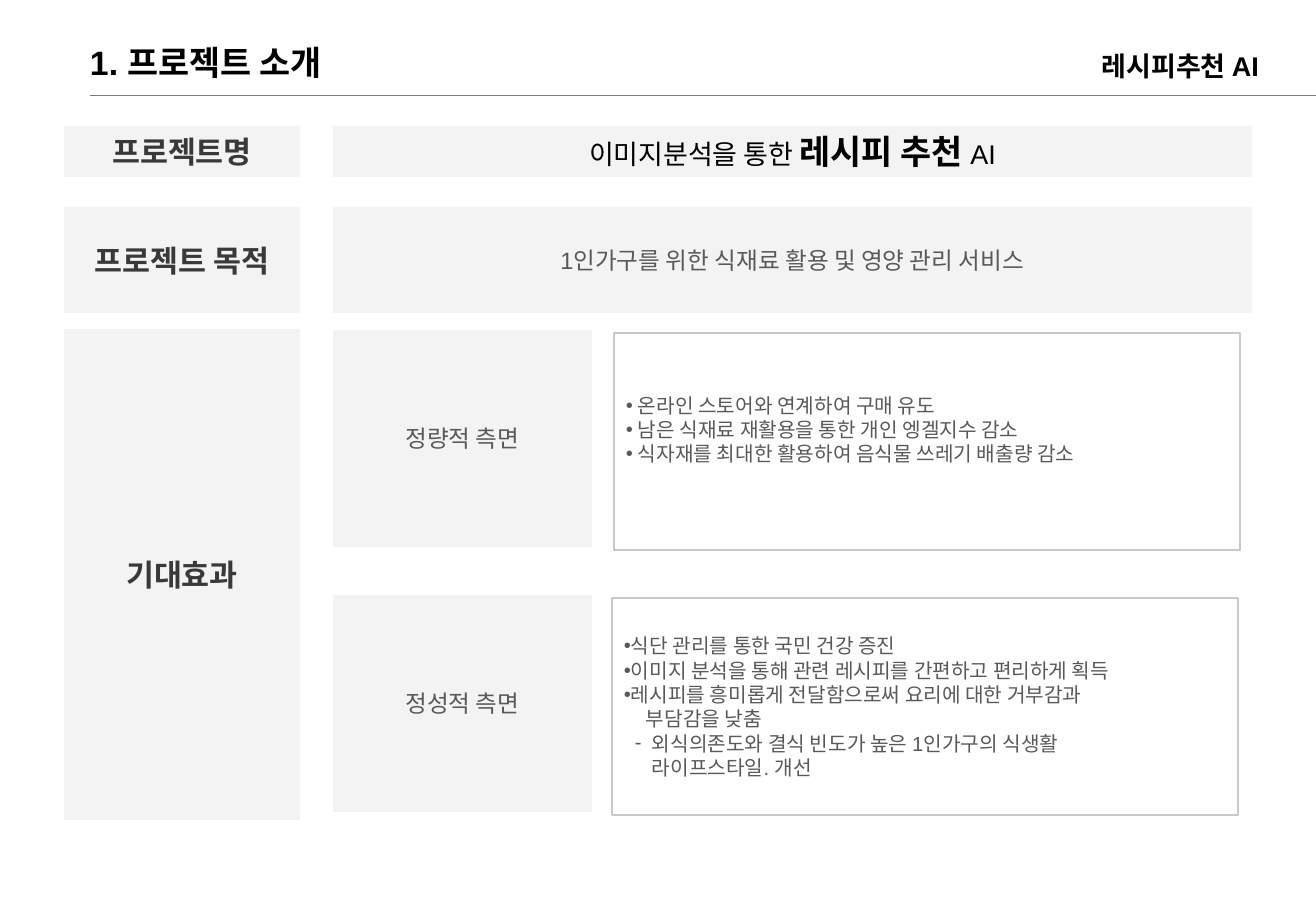
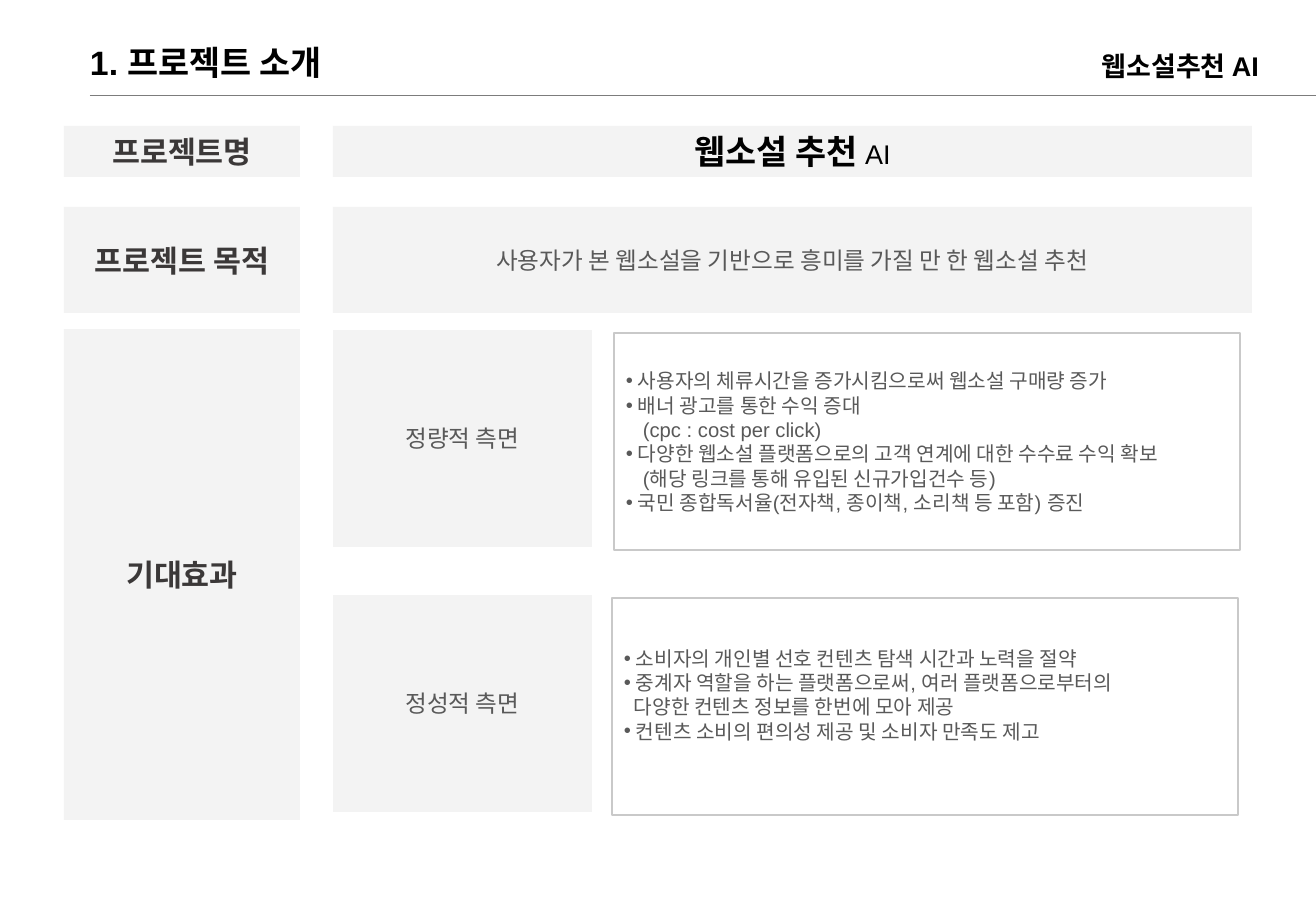
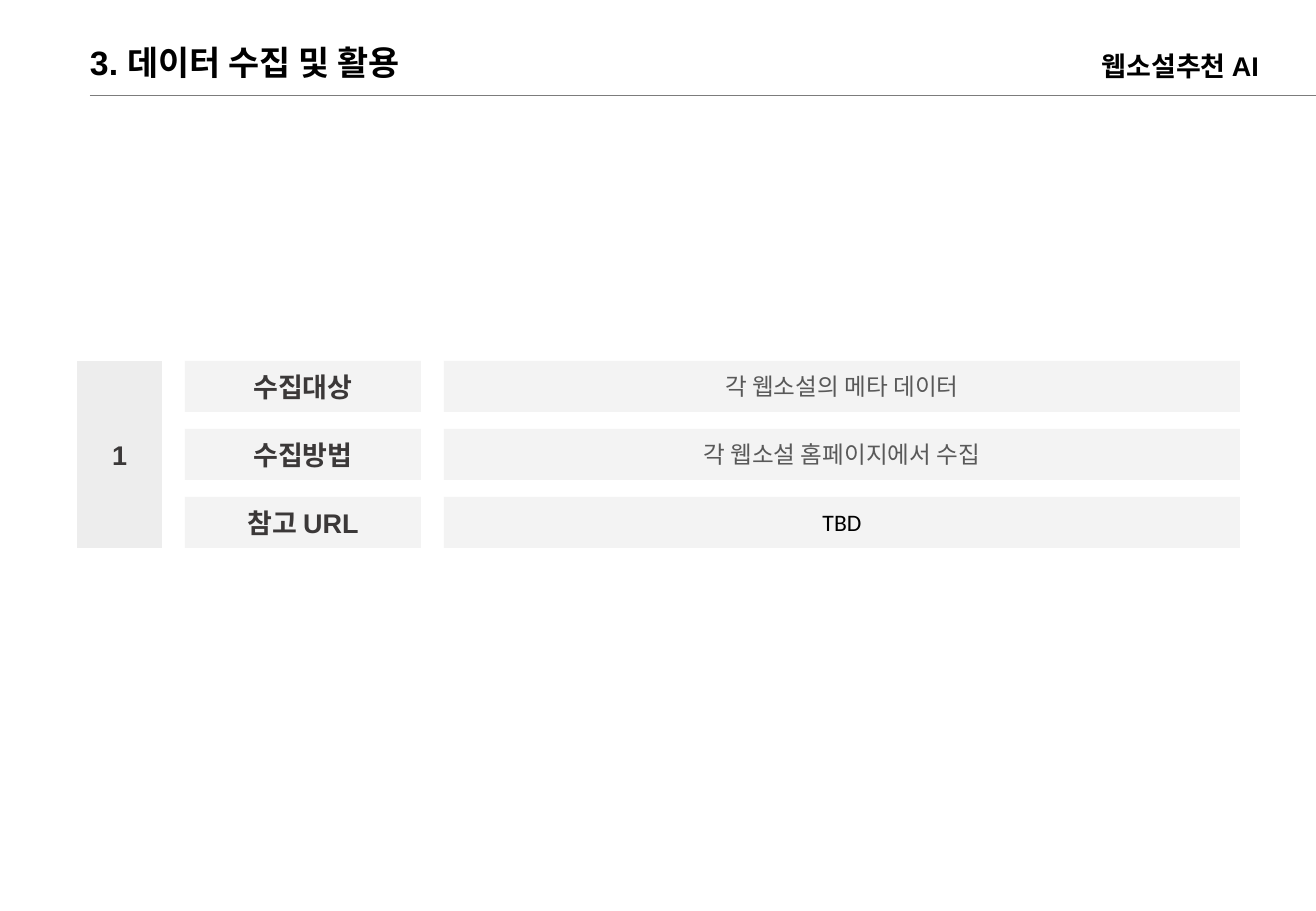
from collections import namedtuple

from lxml.etree import SubElement
from pptx import Presentation
from pptx.dml.color import RGBColor
from pptx.enum.shapes import MSO_CONNECTOR as Connector, MSO_SHAPE as Preset
from pptx.enum.text import MSO_ANCHOR as Anchor, PP_ALIGN as Align
from pptx.oxml.ns import qn
from pptx.util import Pt

EMU_PER_PX = 7526
PAGE_WIDTH, PAGE_HEIGHT = 1316, 911

BLACK = "000000"
WHITE = "FFFFFF"
DARK = "3B3838"
GRAY = "595959"
PANEL = "E7E6E6"
RULE = "7C7C7C"
BORDER = "C9C9C9"

Style = namedtuple("Style", "size color bold font", defaults=(False, "Arial"))
Line = namedtuple("Line", "text start bullet bullet_at", defaults=(0, None, 0))

TITLE = Style(20, BLACK, True)
TAG = Style(16, BLACK, True)
PLAIN = Style(16, BLACK)
LABEL = Style(18, DARK, True, "Calibri")
SMALL_LABEL = Style(16, DARK, True)
BODY = Style(14, GRAY)
DETAIL = Style(12, GRAY)
PENDING = Style(14, BLACK, False, "Calibri")

INSET = 6
DETAIL_LINE = 24


def px(value):
    return int(value * EMU_PER_PX)


def area(*lengths):
    return [px(length) for length in lengths]


def rgb(color):
    return RGBColor.from_string(color)


def add_span(para, text, style):
    span = para.add_run()
    span.text = text
    span.font.size = Pt(style.size)
    span.font.bold = style.bold
    span.font.name = style.font
    span.font.color.rgb = rgb(style.color)


def add_text(page, place, text, style):
    box = page.shapes.add_textbox(*area(*place))
    box.text_frame.word_wrap = True
    add_span(box.text_frame.paragraphs[0], text, style)


def add_box(page, place, fill):
    box = page.shapes.add_shape(Preset.RECTANGLE, *area(*place))
    box.shadow.inherit = False
    box.fill.solid()
    box.fill.fore_color.rgb = rgb(fill)
    box.line.fill.background()
    box.text_frame.word_wrap = True
    box.text_frame.vertical_anchor = Anchor.MIDDLE
    return box


def add_panel(page, place, *spans, opacity=47):
    box = add_box(page, place, PANEL)
    color = box.fill._xPr.find(qn("a:solidFill"))[0]
    SubElement(color, qn("a:alpha"), val=str(opacity * 1000))
    para = box.text_frame.paragraphs[0]
    para.alignment = Align.CENTER
    for text, style in spans:
        add_span(para, text, style)


def set_indent(para, line):
    props = para._p.get_or_add_pPr()
    props.set("marL", str(px(line.start)))
    if line.bullet:
        props.set("indent", str(px(line.bullet_at - line.start)))
        SubElement(props, qn("a:buFont"), typeface="Arial")
        SubElement(props, qn("a:buChar"), char=line.bullet)


def add_details(page, place, lines, lift=0):
    box = add_box(page, place, WHITE)
    box.line.color.rgb = rgb(BORDER)
    box.line.width = Pt(0.75)
    frame = box.text_frame
    frame.margin_bottom = px(INSET + lift)
    for index, line in enumerate(lines):
        para = frame.add_paragraph() if index else frame.paragraphs[0]
        para.alignment = Align.LEFT
        set_indent(para, line)
        add_span(para, line.text, DETAIL)


def dot(text, start=12):
    return Line(text, start, "•")


def add_page(deck, title, title_width, tag):
    page = deck.slides.add_slide(deck.slide_layouts[6])
    rule = page.shapes.add_connector(Connector.STRAIGHT, *area(90, 95, PAGE_WIDTH, 95))
    rule.line.color.rgb = rgb(RULE)
    rule.line.width = Pt(0.5)
    SubElement(rule._element.spPr, qn("a:effectLst"))
    add_text(page, (78, 36, title_width, 53), title, TITLE)
    add_text(page, (1090, 44, 198, 45), tag, TAG)
    return page


def add_intro(deck, tag, name_spans, purpose, quantity, quality):
    page = add_page(deck, "1. 프로젝트 소개", 282, tag)
    labels = [("프로젝트명", 126, 51), ("프로젝트 목적", 207, 106), ("기대효과", 329, 491)]
    for text, top, height in labels:
        add_panel(page, (64, top, 236, height), (text, LABEL))
    contents = [name_spans, [(purpose, BODY)]]
    for (_, top, height), spans in zip(labels, contents):
        add_panel(page, (333, top, 919, height), *spans)
    aspects = [
        ("정량적 측면", 330, 614, quantity),
        ("정성적 측면", 595, 612, quality),
    ]
    for text, top, left, (lines, lift) in aspects:
        add_panel(page, (333, top, 259, 217), (text, BODY))
        add_details(page, (left, top + 3, 626, 217), lines, lift)


def add_recipe_intro(deck):
    quantity = [
        dot("온라인 스토어와 연계하여 구매 유도"),
        dot("남은 식재료 재활용을 통한 개인 엥겔지수 감소"),
        dot("식자재를 최대한 활용하여 음식물 쓰레기 배출량 감소"),
    ]
    quality = [
        dot("식단 관리를 통한 국민 건강 증진", 7),
        dot("이미지 분석을 통해 관련 레시피를 간편하고 편리하게 획득", 7),
        dot("레시피를 흥미롭게 전달함으로써 요리에 대한 거부감과", 7),
        Line("부담감을 낮춤", 22),
        Line("외식의존도와 결식 빈도가 높은 1인가구의 식생활", 28, "-", 11),
        Line("라이프스타일. 개선", 28),
    ]
    name = [("이미지분석을 통한 ", PLAIN), ("레시피 추천 ", TITLE), ("AI", PLAIN)]
    add_intro(deck, "레시피추천 AI", name,
              "1인가구를 위한 식재료 활용 및 영양 관리 서비스",
              (quantity, DETAIL_LINE), (quality, 0))


def add_novel_intro(deck):
    quantity = [
        dot("사용자의 체류시간을 증가시킴으로써 웹소설 구매량 증가"),
        dot("배너 광고를 통한 수익 증대"),
        Line("(cpc : cost per click)", 17),
        dot("다양한 웹소설 플랫폼으로의 고객 연계에 대한 수수료 수익 확보"),
        Line("(해당 링크를 통해 유입된 신규가입건수 등)", 17),
        dot("국민 종합독서율(전자책, 종이책, 소리책 등 포함) 증진"),
    ]
    quality = [
        dot("소비자의 개인별 선호 컨텐츠 탐색 시간과 노력을 절약"),
        dot("중계자 역할을 하는 플랫폼으로써, 여러 플랫폼으로부터의"),
        Line("다양한 컨텐츠 정보를 한번에 모아 제공", 10),
        dot("컨텐츠 소비의 편의성 제공 및 소비자 만족도 제고"),
    ]
    name = [("웹소설 추천 ", TITLE), ("AI", PLAIN)]
    add_intro(deck, "웹소설추천 AI", name,
              "사용자가 본 웹소설을 기반으로 흥미를 가질 만 한 웹소설 추천",
              (quantity, 0), (quality, DETAIL_LINE))


def add_data_page(deck):
    page = add_page(deck, "3. 데이터 수집 및 활용", 374, "웹소설추천 AI")
    top, height, pitch = 361, 51, 68
    rows = [
        ("수집대상", "각 웹소설의 메타 데이터", BODY),
        ("수집방법", "각 웹소설 홈페이지에서 수집", BODY),
        ("참고 URL", "TBD", PENDING),
    ]
    for index, (label, value, style) in enumerate(rows):
        row_top = top + index * pitch
        add_panel(page, (185, row_top, 236, height), (label, SMALL_LABEL))
        add_panel(page, (444, row_top, 796, height), (value, style))
    total = (len(rows) - 1) * pitch + height
    add_panel(page, (77, top, 85, total), ("1", SMALL_LABEL), opacity=71)


def main():
    deck = Presentation()
    deck.slide_width, deck.slide_height = area(PAGE_WIDTH, PAGE_HEIGHT)
    add_recipe_intro(deck)
    add_novel_intro(deck)
    add_data_page(deck)
    deck.save("out.pptx")


if __name__ == "__main__":
    main()
